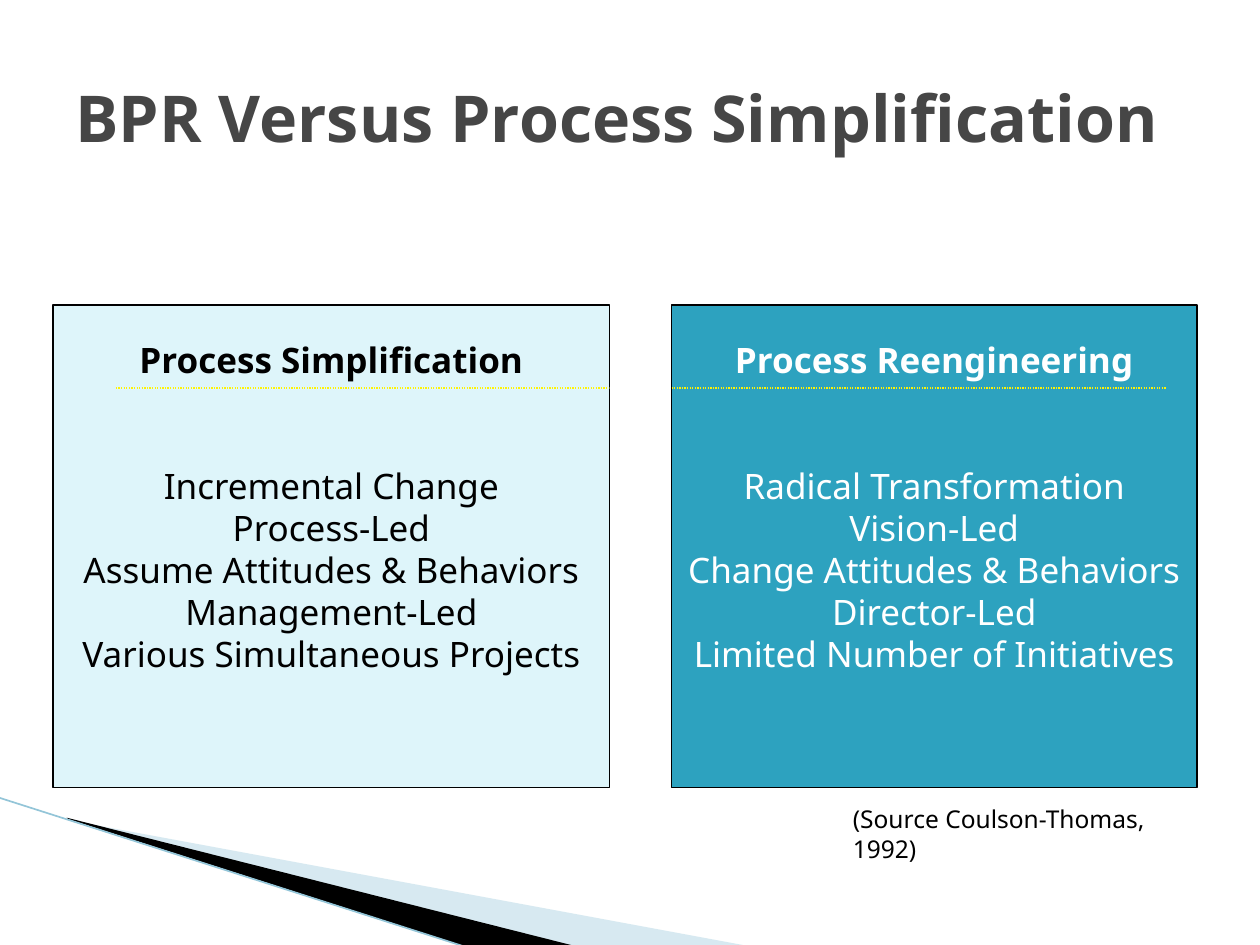
from dataclasses import dataclass

from lxml import etree
from pptx import Presentation
from pptx.dml.color import RGBColor
from pptx.enum import dml, shapes, text
from pptx.oxml import ns
from pptx.util import Inches, Pt


@dataclass(frozen=True)
class Theme:
    font: str = "Noto Sans"
    black: str = "000000"
    white: str = "FFFFFF"
    heading: str = "464646"
    teal: str = "2DA2BF"
    pale: str = "DEF5FA"
    rule: str = "FFF305"
    swoosh: str = "9CCADC"
    swoosh_edge: str = "93C5D8"
    title_size: float = 36.9
    body_size: float = 20
    note_size: float = 14


def color(code):
    return RGBColor.from_string(code)


def add_text(frame, words, *, theme, size, ink, bold=False, align=text.PP_ALIGN.LEFT,
             leading=None, before=0, first=True):
    para = frame.paragraphs[0] if first else frame.add_paragraph()
    para.alignment = align
    para.space_before = Pt(before)
    if leading:
        para.line_spacing = Pt(leading)
    span = para.add_run()
    span.text = words
    span.font.name = theme.font
    span.font.size = Pt(size)
    span.font.bold = bold
    span.font.color.rgb = color(ink)


class SlideBuilder:
    def __init__(self, page, theme):
        self.page = page
        self.theme = theme

    def label(self, left, top, width, height, words, anchor=text.MSO_ANCHOR.TOP, **style):
        box = self.page.shapes.add_textbox(*map(Inches, (left, top, width, height)))
        frame = box.text_frame
        frame.word_wrap = True
        frame.vertical_anchor = anchor
        add_text(frame, words, theme=self.theme, **style)

    def panel(self, left, top, width, height, heading, items, fill, ink):
        box = self.page.shapes.add_shape(
            shapes.MSO_SHAPE.RECTANGLE, *map(Inches, (left, top, width, height)))
        box.shadow.inherit = False
        box.fill.solid()
        box.fill.fore_color.rgb = color(fill)
        box.line.color.rgb = color(self.theme.black)
        box.line.width = Pt(0.75)
        frame = box.text_frame
        frame.word_wrap = True
        frame.vertical_anchor = text.MSO_ANCHOR.TOP
        frame.margin_top = Inches(0.27)
        style = dict(theme=self.theme, size=self.theme.body_size, ink=ink,
                     align=text.PP_ALIGN.CENTER, leading=24)
        add_text(frame, heading, bold=True, **style)
        for index, item in enumerate(items):
            add_text(frame, item, before=0 if index else 48, first=False, **style)

    def line(self, start, end, ink, width, dash=None):
        rule = self.page.shapes.add_connector(
            shapes.MSO_CONNECTOR.STRAIGHT, *map(Inches, (*start, *end)))
        rule.line.color.rgb = color(ink)
        rule.line.width = Pt(width)
        if dash:
            rule.line.dash_style = dash
        etree.SubElement(rule._element.spPr, ns.qn("a:effectLst"))

    def wedge(self, points, fill, opacity=100):
        corners = [tuple(map(Inches, point)) for point in points]
        builder = self.page.shapes.build_freeform(*corners[0], scale=1.0)
        builder.add_line_segments(corners[1:], close=True)
        shape = builder.convert_to_shape()
        shape.shadow.inherit = False
        shape.fill.solid()
        shape.fill.fore_color.rgb = color(fill)
        shape.line.fill.background()
        if opacity < 100:
            tint = shape._element.spPr.find(f".//{ns.qn('a:srgbClr')}")
            etree.SubElement(tint, ns.qn("a:alpha"), val=str(opacity * 1000))


def main():
    theme = Theme()
    deck = Presentation()
    deck.slide_width, deck.slide_height = Inches(10), Inches(7.5)
    slide = SlideBuilder(deck.slides.add_slide(deck.slide_layouts[6]), theme)

    slide.wedge([(0.55, 6.51), (5.95, 7.51), (4.56, 7.51), (0.55, 6.5)], theme.swoosh, 40)
    slide.wedge([(0.53, 6.49), (4.57, 7.51), (3.72, 7.52), (0.54, 6.5)], theme.black)
    slide.line((-0.01, 6.33), (3.71, 7.52), theme.swoosh_edge, 0.95)

    slide.label(0.5, 0.3, 9, 1.25, "BPR Versus Process Simplification",
                anchor=text.MSO_ANCHOR.MIDDLE, size=theme.title_size,
                ink=theme.heading, bold=True)

    panel_top, panel_height, rule_top = 2.42, 3.83, 3.08
    slide.panel(5.33, panel_top, 4.17, panel_height, "Process Reengineering",
                ["Radical Transformation", "Vision-Led", "Change Attitudes & Behaviors",
                 "Director-Led", "Limited Number of Initiatives"],
                theme.teal, theme.white)
    slide.panel(0.42, panel_top, 4.42, panel_height, "Process Simplification",
                ["Incremental Change", "Process-Led", "Assume Attitudes & Behaviors",
                 "Management-Led", "Various Simultaneous Projects"],
                theme.pale, theme.black)

    slide.label(6.67, 6.33, 2.74, 0.33, "(Source Coulson-Thomas, 1992)",
                size=theme.note_size, ink=theme.black, leading=17)
    for left, right in ((0.92, 4.83), (5.33, 9.25)):
        slide.line((left, rule_top), (right, rule_top), theme.rule, 0.75,
                   dml.MSO_LINE.ROUND_DOT)

    deck.save("out.pptx")


if __name__ == "__main__":
    main()
